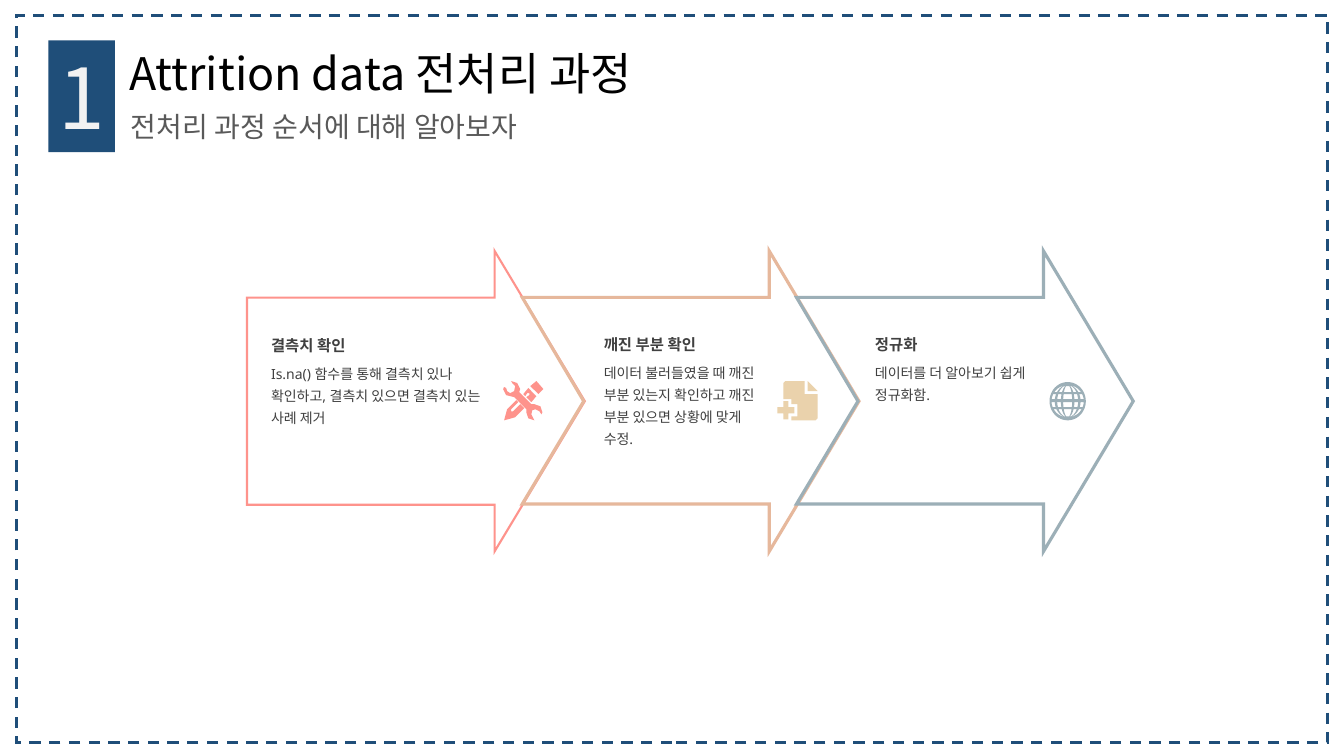
from itertools import product
from math import cos, pi, sin, sqrt

from pptx import Presentation
from pptx.dml.color import RGBColor
from pptx.enum.dml import MSO_LINE_DASH_STYLE as Dash
from pptx.enum.shapes import MSO_SHAPE as Shape
from pptx.enum.text import MSO_ANCHOR as Anchor, MSO_AUTO_SIZE as Fit, PP_ALIGN as Align
from pptx.oxml.ns import qn
from pptx.util import Inches, Pt

NAVY = RGBColor(0x1F, 0x4E, 0x79)
PALE = RGBColor(0xF2, 0xF2, 0xF2)
BLACK = RGBColor(0, 0, 0)
GRAY = RGBColor(0x59, 0x59, 0x59)
DARK = RGBColor(0x40, 0x40, 0x40)
CORAL = RGBColor(0xFE, 0x93, 0x8C)
PEACH = RGBColor(0xE6, 0xB8, 0x9C)
SAND = RGBColor(0xEA, 0xD2, 0xAC)
STEEL = RGBColor(0x9C, 0xAF, 0xB7)

SANS = "Noto Sans"
KOREAN = "Noto Sans CJK KR"
HEAD = {"name": SANS, "size": Pt(11), "bold": True}
BODY = {"name": SANS, "size": Pt(10)}

STEP = 2.72
MID = 3.98

TOOLS = [
    [(5.21, 3.93), (5.19, 3.91), (5.24, 3.85), (5.32, 3.93), (5.27, 3.99),
     (5.22, 3.94), (5.25, 3.92), (5.25, 3.9), (5.23, 3.9)],
    [(5.09, 4.08), (5.07, 4.08), (5.07, 4.06), (5.14, 3.99), (5.12, 3.97),
     (5.03, 4.06), (5, 4.17), (5.11, 4.14), (5.2, 4.05), (5.16, 4.01)],
    [(5.39, 3.86), (5.32, 3.78), (5.26, 3.83), (5.34, 3.91)],
    [(5.3, 4.01), (5.27, 4.01), (5.15, 3.89), (5.16, 3.86), (5.13, 3.8),
     (5.07, 3.78), (5.08, 3.8), (5.11, 3.83), (5.1, 3.88), (5.06, 3.9),
     (5.03, 3.88), (5.02, 3.85), (5, 3.84), (4.99, 3.86), (5.02, 3.92),
     (5.1, 3.94), (5.22, 4.06), (5.22, 4.09), (5.24, 4.15), (5.3, 4.17),
     (5.29, 4.15), (5.27, 4.11), (5.28, 4.07), (5.31, 4.06), (5.35, 4.08),
     (5.37, 4.11), (5.38, 4.09), (5.36, 4.03)],
]
PAGE = [
    [(8.09, 4.17), (7.85, 4.17), (7.85, 4.13), (7.91, 4.13), (7.91, 4.01),
     (7.85, 4.01), (7.85, 3.96), (7.77, 3.96), (7.77, 3.8), (7.79, 3.78),
     (7.98, 3.78), (7.98, 3.91), (8.11, 3.91), (8.11, 4.15)],
    [(8.01, 3.78), (8.11, 3.88), (8.01, 3.88)],
    [(7.77, 3.98), (7.82, 3.98), (7.82, 4.04), (7.88, 4.04), (7.88, 4.1),
     (7.82, 4.1), (7.82, 4.16), (7.77, 4.16), (7.77, 4.1), (7.71, 4.1),
     (7.71, 4.04), (7.77, 4.04)],
]


def globe(x, y):
    """Return a disc outline and the cells cut between its grid lines."""
    turns = [2 * pi * i / 48 for i in range(48)]
    loops = [[(x + 0.18 * cos(t), y + 0.19 * sin(t)) for t in turns]]
    bands = [(-0.15, -0.09), (-0.07, -0.02), (0.01, 0.06), (0.08, 0.15)]
    cols = [(-1, -0.8), (-0.65, -0.42), (-0.28, 0.28), (0.42, 0.65), (0.8, 1)]
    for (top, low), (west, east) in product(bands, cols):
        rows = [top + (low - top) * i / 6 for i in range(7)]
        wide = [(dy, sqrt(0.16 ** 2 - dy ** 2)) for dy in rows]
        left = [(x + west * r, y + dy) for dy, r in wide]
        right = [(x + east * r, y + dy) for dy, r in wide]
        loops.append(left + right[::-1])
    return loops


def notched(x):
    """Return the outline of an arrow whose tail fits the tip before it."""
    return [[(x + 2.45, 2.49), (x + 3.34, MID), (x + 2.45, 5.47), (x + 2.45, 5),
             (x, 5), (x + 0.61, MID), (x, 2.95), (x + 2.45, 2.95)]]


class Deck:
    def __init__(self):
        self.prs = Presentation()
        self.prs.slide_width, self.prs.slide_height = Inches(13.33), Inches(7.5)
        self.slide = self.prs.slides.add_slide(self.prs.slide_layouts[5])
        self.pen = self.slide.shapes

    def group(self):
        """Send the next elements to a new group."""
        self.pen = self.slide.shapes.add_group_shape().shapes

    def paint(self, shape, fill=None, line=None, width=1, dash=None):
        shape.shadow.inherit = False
        if fill is None:
            shape.fill.background()
        else:
            shape.fill.solid()
            shape.fill.fore_color.rgb = fill
        if line is None:
            shape.line.fill.background()
            return
        shape.line.color.rgb = line
        shape.line.width = Pt(width)
        if dash:
            shape.line.dash_style = dash
        edge = shape._element.spPr.find(qn("a:ln"))
        edge.append(edge.makeelement(qn("a:miter"), {"lim": "800000"}))

    def box(self, kind, at, **look):
        shape = self.pen.add_shape(kind, *map(Inches, at))
        self.paint(shape, **look)
        return shape

    def outline(self, loops, **look):
        """Draw closed loops of points as one shape."""
        loops = [[(Inches(x), Inches(y)) for x, y in loop] for loop in loops]
        form = self.pen.build_freeform(*loops[0][0], scale=1.0)
        for i, loop in enumerate(loops):
            if i:
                form.move_to(*loop[0])
            form.add_line_segments(loop[1:], close=True)
        self.paint(form.convert_to_shape(), **look)

    def label(self, shape, text, font, color, wrap=False, space=1.0,
              align=Align.LEFT, anchor=Anchor.TOP, fit=Fit.SHAPE_TO_FIT_TEXT):
        """Put styled text into a shape."""
        frame = shape.text_frame
        frame.text = text
        para = frame.paragraphs[0]
        run = para.runs[0]
        forms = [
            (frame, {"word_wrap": wrap, "auto_size": fit, "vertical_anchor": anchor}),
            (para, {"alignment": align, "line_spacing": space}),
            (run.font, font),
        ]
        for item, values in forms:
            for key, value in values.items():
                setattr(item, key, value)
        run.font.color.rgb = color
        props = run._r.get_or_add_rPr()
        props.append(props.makeelement(qn("a:ea"), {"typeface": KOREAN}))

    def text(self, at, *words, **style):
        self.label(self.pen.add_textbox(*map(Inches, at)), *words, **style)

    def title(self, at, *words):
        shape = self.slide.shapes.title
        shape.left, shape.top, shape.width, shape.height = map(Inches, at)
        self.label(shape, *words)


def main():
    deck = Deck()
    badge = deck.box(Shape.RECTANGLE, (0.48, 0.4, 0.66, 1.11), fill=NAVY)
    deck.label(badge, "1", {"name": KOREAN, "size": Pt(60)}, PALE,
               align=Align.CENTER, anchor=Anchor.MIDDLE, fit=Fit.NONE)
    deck.text((1.2, 1.04, 4.52, 0.44), "전처리 과정 순서에 대해 알아보자",
              {"name": KOREAN, "size": Pt(20)}, GRAY)
    deck.title((1.18, 0.4, 5.47, 0.64), "Attrition data 전처리 과정",
               {"name": KOREAN, "size": Pt(32)}, BLACK)
    deck.box(Shape.RECTANGLE, (0.16, 0.15, 13.01, 7.22),
             line=NAVY, width=2, dash=Dash.DASH)

    steps = [
        (CORAL, CORAL, TOOLS, 2.59, 3.25, 2.26, 2.4, 0.74, "결측치 확인",
         "Is.na() 함수를 통해 결측치 있나 확인하고, 결측치 있으면 결측치 있는 사례 제거"),
        (PEACH, SAND, PAGE, 5.89, 3.24, 1.6, 1.76, 0.96, "깨진 부분 확인",
         "데이터 불러들였을 때 깨진 부분 있는지 확인하고 깨진 부분 있으면 상황에 맞게 수정."),
        (STEEL, STEEL, globe(10.59, MID), 8.58, 3.24, 1.6, 1.76, 0.52, "정규화",
         "데이터를 더 알아보기 쉽게 정규화함."),
    ]
    for i, (edge, tint, icon, x, y, wide, span, high, head, body) in enumerate(steps):
        deck.group()
        if i == 0:
            arrow = deck.box(Shape.RIGHT_ARROW, (2.45, 2.49, 3.35, 2.98),
                             line=edge, width=1.5)
            arrow.adjustments[0], arrow.adjustments[1] = 0.69, 0.3
        else:
            deck.outline(notched(5.18 + STEP * (i - 1)), line=edge, width=2.25)
        deck.outline(icon, fill=tint)
        deck.text((x, y, wide, 0.31), head, HEAD, DARK, wrap=True, space=1.2)
        deck.text((x, y + 0.28, span, high), body, BODY, DARK, wrap=True, space=1.3)

    deck.prs.save("out.pptx")


if __name__ == "__main__":
    main()
